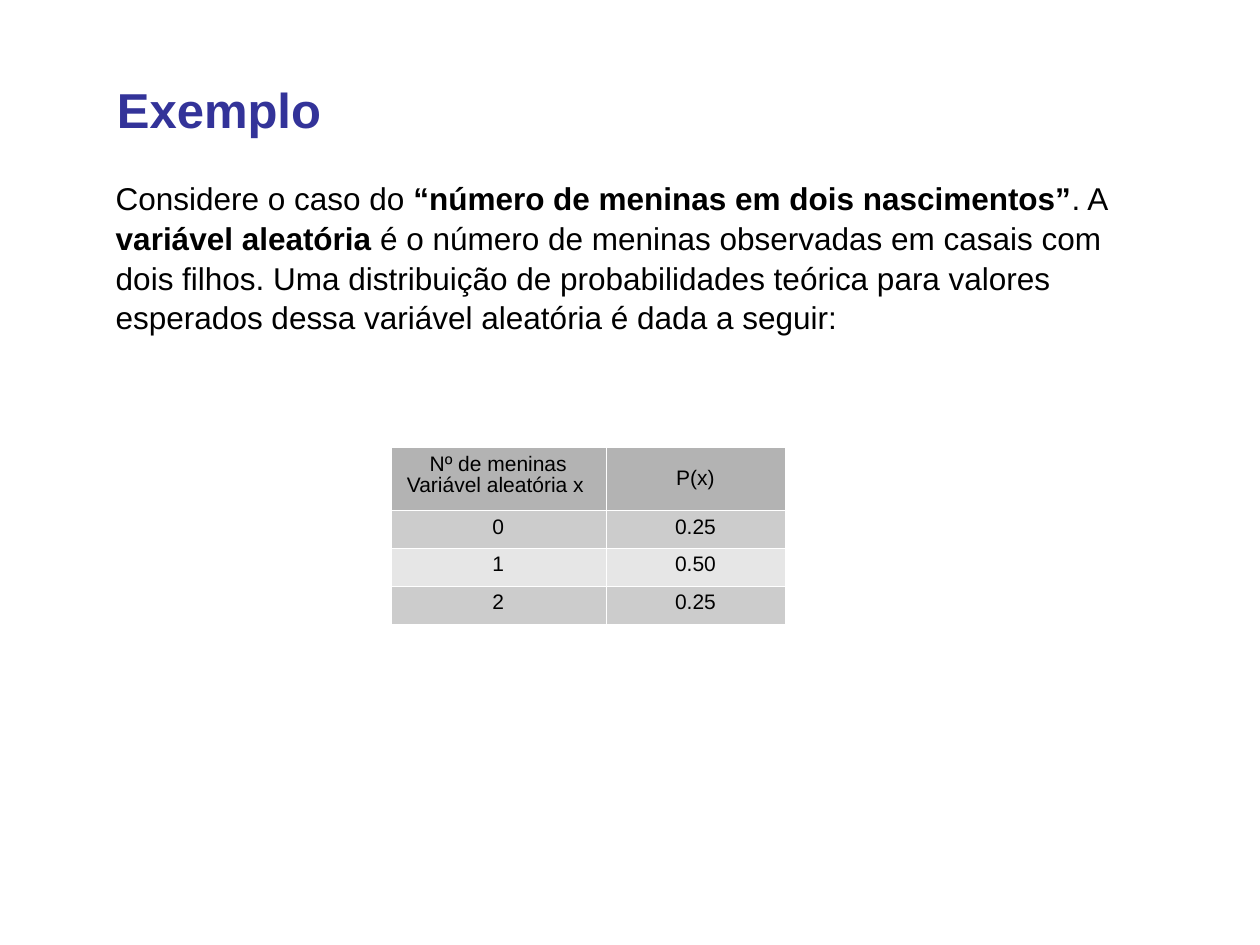
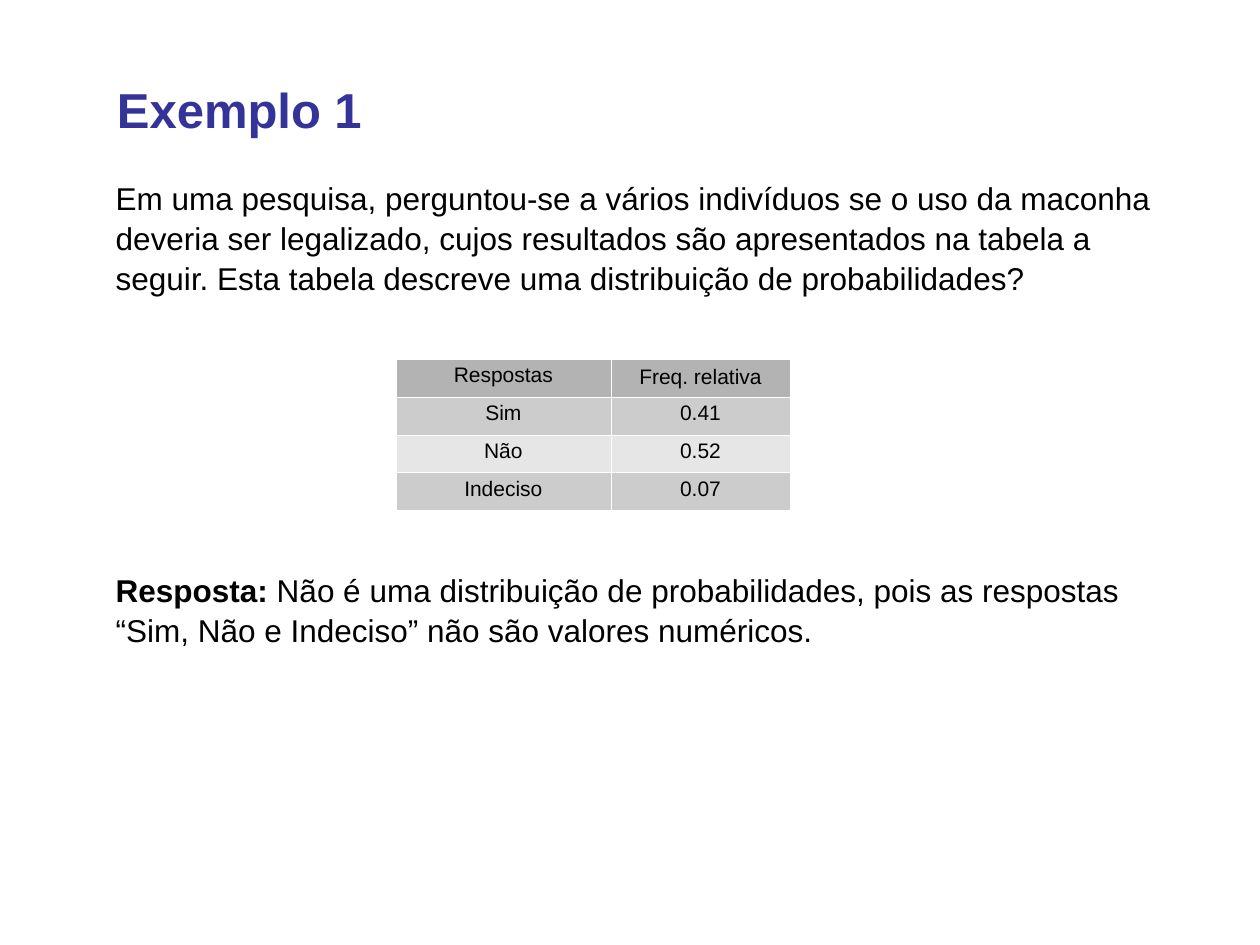
from pptx import Presentation
from pptx.dml.color import RGBColor
from pptx.enum import text
from pptx.oxml import parse_xml
from pptx.oxml.ns import nsdecls
from pptx.util import Inches, Pt

INK, TITLE, WHITE = "000000", "333399", "FFFFFF"
HEADER_FILL, ROW_FILLS = "B3B3B3", ("CCCCCC", "E6E6E6")
COLUMN_WIDTHS = (1.71, 1.42)
ROW_HEIGHT = 0.3
LEFT = 0.82
BODY_TOP = 1.36


def rgb(color):
    return RGBColor.from_string(color)


def add_run(p, content, color=INK, **fmt):
    r = p.add_run()
    r.text = content
    r.font.color.rgb = rgb(color)
    for name, value in {"name": "Arial", **fmt}.items():
        setattr(r.font, name, value)


def add_text(s, box, runs, size=18, color=INK):
    tf = s.shapes.add_textbox(*map(Inches, box)).text_frame
    tf.word_wrap = True
    p = tf.paragraphs[0]
    p.line_spacing = 1.05
    for content, bold in runs:
        add_run(p, content, color, size=Pt(size), bold=bold)


def add_title(s, title):
    add_text(s, (0.83, 0.56, 8.51, 0.63), [(title, True)], 28, TITLE)


def set_borders(cell):
    tc_pr = cell._tc.get_or_add_tcPr()
    for i, side in enumerate(("lnL", "lnR", "lnT", "lnB")):
        tc_pr.insert(i, parse_xml(
            f'<a:{side} {nsdecls("a")} w="{Pt(0.06)}"><a:solidFill>'
            f'<a:srgbClr val="{WHITE}"/></a:solidFill></a:{side}>'))


def fill_cell(cell, content, fill):
    cell.fill.solid()
    cell.fill.fore_color.rgb = rgb(fill)
    set_borders(cell)
    tf = cell.text_frame
    for i, line in enumerate(content.split("\n")):
        p = tf.add_paragraph() if i else tf.paragraphs[0]
        p.alignment = text.PP_ALIGN.CENTER
        p.line_spacing = 0.93
        add_run(p, line, size=Pt(12), bold=False)


def add_distribution(s, left, top, rows, header_height=ROW_HEIGHT):
    heights = [header_height] + [ROW_HEIGHT] * (len(rows) - 1)
    box = (left, top, sum(COLUMN_WIDTHS), sum(heights))
    table = s.shapes.add_table(len(rows), len(COLUMN_WIDTHS), *map(Inches, box)).table
    for column, width in zip(table.columns, COLUMN_WIDTHS):
        column.width = Inches(width)
    for i, (row, height) in enumerate(zip(rows, heights)):
        table.rows[i].height = Inches(height)
        fill = ROW_FILLS[(i - 1) % 2] if i else HEADER_FILL
        for j, content in enumerate(row):
            fill_cell(table.cell(i, j), content, fill)
    table.cell(0, 1).vertical_anchor = text.MSO_ANCHOR.MIDDLE


def add_slide(prs, title):
    s = prs.slides.add_slide(prs.slide_layouts[6])
    add_title(s, title)
    return s


def build_births(prs):
    s = add_slide(prs, "Exemplo")
    add_text(s, (LEFT, BODY_TOP, 8.28, 1.74), [
        ("Considere o caso do ", False),
        ("“número de meninas em dois nascimentos”", True),
        (". A ", False),
        ("variável aleatória", True),
        (" é o número de meninas observadas em casais com dois filhos. "
         "Uma distribuição de probabilidades teórica para valores esperados "
         "dessa variável aleatória é dada a seguir:", False),
    ])
    add_distribution(s, 3.1, 3.55, [
        ("Nº de meninas\nVariável aleatória x ", "P(x)"),
        ("0", "0.25"),
        ("1", "0.50"),
        ("2", "0.25"),
    ], header_height=0.5)


def build_survey(prs):
    s = add_slide(prs, "Exemplo 1")
    add_text(s, (LEFT, BODY_TOP, 8.48, 1.3), [
        ("Em uma pesquisa, perguntou-se a vários indivíduos se o uso da maconha "
         "deveria ser legalizado, cujos resultados são apresentados na tabela a "
         "seguir. Esta tabela descreve uma distribuição de probabilidades?", False),
    ])
    add_distribution(s, 3.14, 2.85, [
        ("Respostas", "Freq. relativa"),
        ("Sim", "0.41"),
        ("Não", "0.52"),
        ("Indeciso", "0.07"),
    ])
    add_text(s, (LEFT, 4.47, 8.48, 0.83), [
        ("Resposta:", True),
        (" Não é uma distribuição de probabilidades, pois as respostas "
         "“Sim, Não e Indeciso” não são valores numéricos.", False),
    ])


def main():
    prs = Presentation()
    prs.slide_width, prs.slide_height = Inches(10), Inches(7.5)
    build_births(prs)
    build_survey(prs)
    prs.save("out.pptx")


if __name__ == "__main__":
    main()
